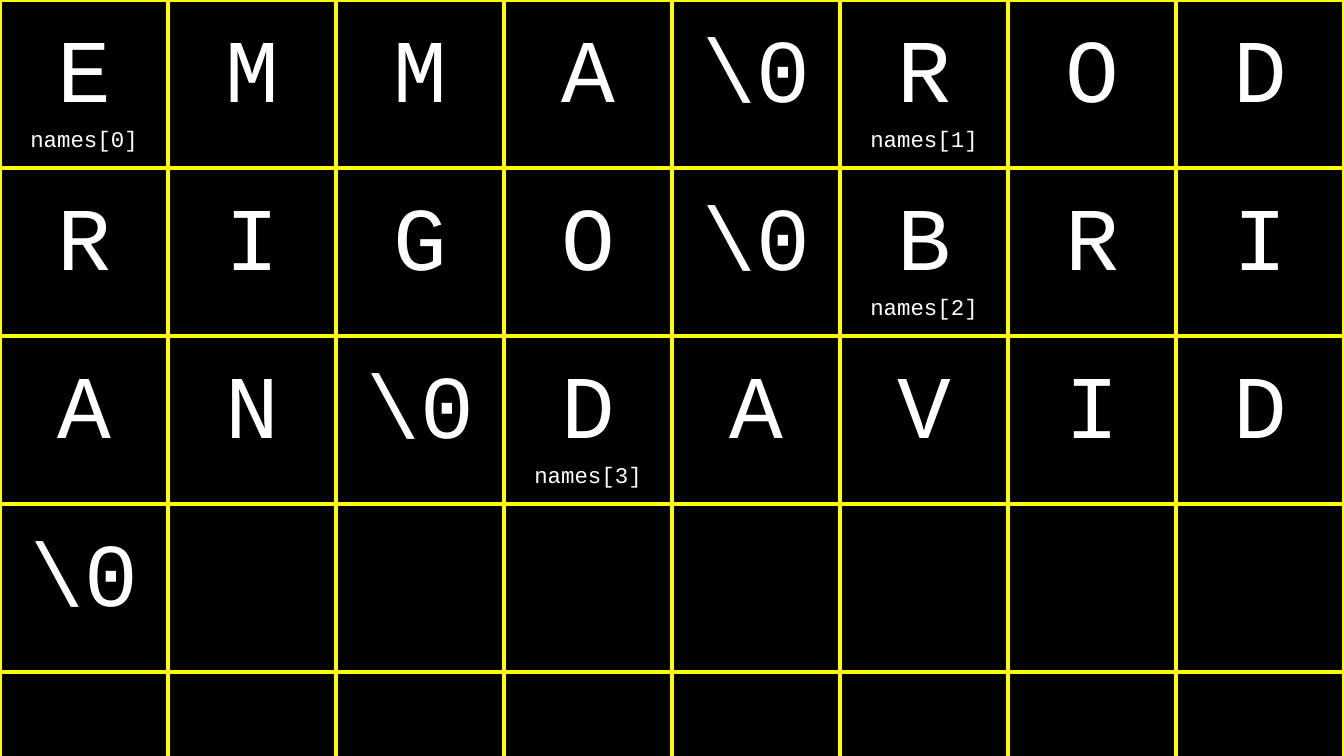
from dataclasses import dataclass

from lxml import etree
from pptx import Presentation
from pptx import util as u
from pptx.dml.color import RGBColor
from pptx.enum import text
from pptx.oxml import ns

COLUMNS, ROWS = 8, 5
SLIDE_WIDTH = 10
SLIDE_HEIGHT = SLIDE_WIDTH * 9 / 16
CELL_SIDE = SLIDE_WIDTH / COLUMNS
PADDING = 0.1
LABEL_HEIGHT = 0.19
BLACK, WHITE, YELLOW = "000000", "FFFFFF", "FFFF00"
FONT = "Courier New"
NAMES = ["EMMA", "RODRIGO", "BRIAN", "DAVID"]


@dataclass
class Byte:
    character: str
    label: str = ""


def color(value: str) -> RGBColor:
    return RGBColor.from_string(value)


def memory_bytes(names: list[str]) -> list[Byte]:
    memory = []
    for index, name in enumerate(names):
        memory.append(Byte(name[0], f"names[{index}]"))
        memory.extend(Byte(character) for character in [*name[1:], "\\0"])
    return memory


def draw_borders(cell, line_color: str, points: float) -> None:
    properties = cell._tc.get_or_add_tcPr()
    for side in ("a:lnL", "a:lnR", "a:lnT", "a:lnB"):
        border = etree.SubElement(properties, ns.qn(side), w=str(u.Pt(points)))
        fill = etree.SubElement(border, ns.qn("a:solidFill"))
        etree.SubElement(fill, ns.qn("a:srgbClr"), val=line_color)


def write_line(paragraph, content: str, points: float) -> None:
    paragraph.text = content
    paragraph.alignment = text.PP_ALIGN.CENTER
    font = paragraph.runs[0].font
    font.name = FONT
    font.size = u.Pt(points)
    font.color.rgb = color(WHITE)


def draw_byte(cell, byte: Byte) -> None:
    cell.vertical_anchor = text.MSO_ANCHOR.BOTTOM
    cell.margin_left = cell.margin_right = cell.margin_top = u.Inches(PADDING)
    cell.margin_bottom = u.Inches(PADDING if byte.label else PADDING + LABEL_HEIGHT)
    write_line(cell.text_frame.paragraphs[0], byte.character, 48)
    if byte.label:
        write_line(cell.text_frame.add_paragraph(), byte.label, 12)


def draw_memory(slide, memory: list[Byte]) -> None:
    grid = slide.shapes.add_table(
        ROWS, COLUMNS, 0, 0,
        u.Inches(COLUMNS * CELL_SIDE), u.Inches(ROWS * CELL_SIDE),
    ).table
    grid.first_row = False
    grid.horz_banding = False
    for cell in grid.iter_cells():
        draw_borders(cell, YELLOW, 3)
        cell.fill.background()
    for position, byte in enumerate(memory):
        row, column = divmod(position, COLUMNS)
        draw_byte(grid.cell(row, column), byte)


def main() -> None:
    presentation = Presentation()
    presentation.slide_width = u.Inches(SLIDE_WIDTH)
    presentation.slide_height = u.Inches(SLIDE_HEIGHT)
    slide = presentation.slides.add_slide(presentation.slide_layouts[6])
    slide.background.fill.solid()
    slide.background.fill.fore_color.rgb = color(BLACK)
    draw_memory(slide, memory_bytes(NAMES))
    presentation.save("out.pptx")


if __name__ == "__main__":
    main()
